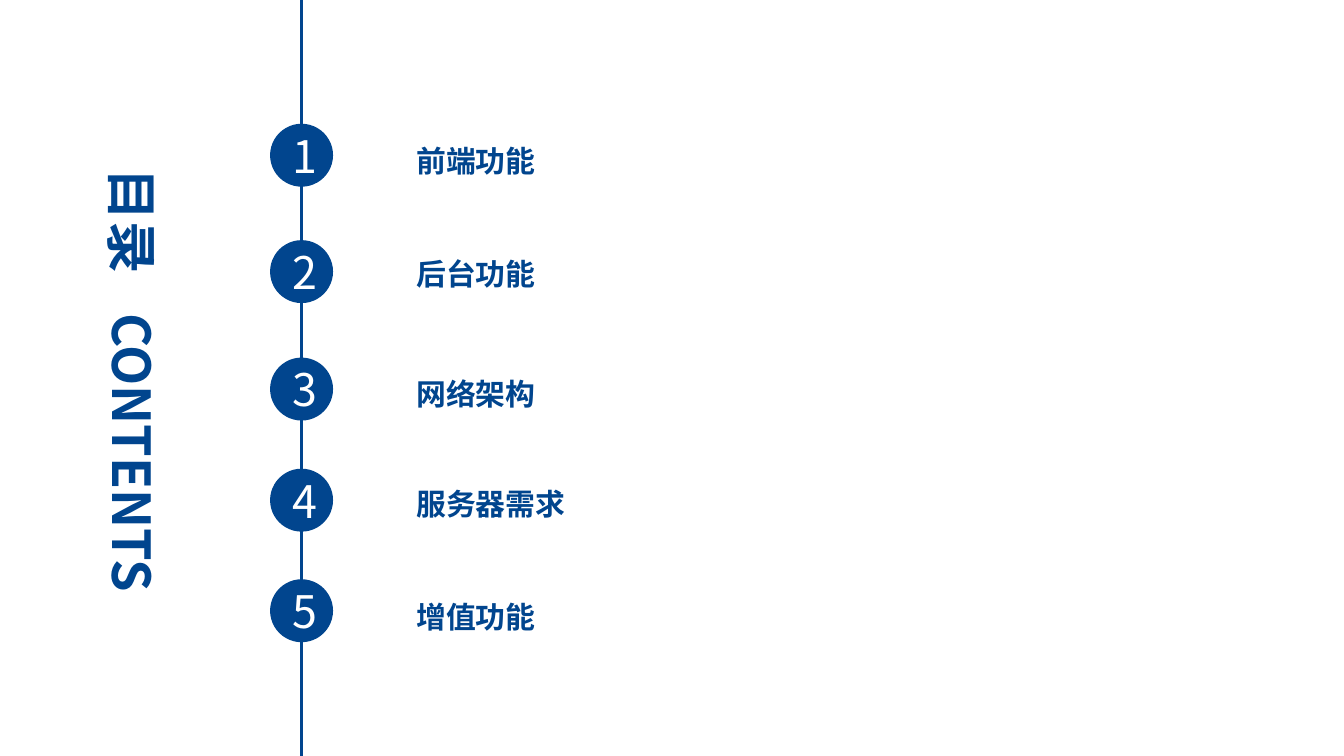
import pptx
import pptx.dml.color
import pptx.enum.shapes
import pptx.enum.text
import pptx.oxml.ns
import pptx.util
from lxml import etree

Cm = pptx.util.Cm
PP = pptx.enum.text
qn = pptx.oxml.ns.qn

FONT = "Noto Sans CJK SC"
BLUE = "01458E"
WHITE = "FFFFFF"


def color(hex_code):
    return pptx.dml.color.RGBColor.from_string(hex_code)


def write(tf, text, size=16, fill=BLUE, bold=False, align=None, spacing=None):
    p = tf.paragraphs[0]
    p.alignment = align
    p.line_spacing = spacing
    r = p.add_run()
    r.text = text
    r.font.size = pptx.util.Pt(size)
    r.font.bold = bold
    r.font.name = FONT
    r.font.color.rgb = color(fill)
    # East Asian text takes its own typeface element
    etree.SubElement(r.font._element, qn("a:ea"), typeface=FONT)


class ContentsSlide:
    """Holds the slide and its style."""

    def __init__(self, prs):
        self.s = prs.slides.add_slide(prs.slide_layouts[6])

    def text_box(self, text, x, y, w, h, rotation=0, wrap=True, **fmt):
        sp = self.s.shapes.add_textbox(Cm(x), Cm(y), Cm(w), Cm(h))
        sp.rotation = rotation
        tf = sp.text_frame
        tf.word_wrap = wrap
        tf.auto_size = PP.MSO_AUTO_SIZE.SHAPE_TO_FIT_TEXT
        write(tf, text, bold=True, **fmt)

    def vertical_title(self, text, cx, cy, w, h=1.45):
        self.text_box(text, cx - w / 2, cy - h / 2, w, h,
                      rotation=90, wrap=False, size=28)

    def vertical_line(self, x, y1, y2):
        kind = pptx.enum.shapes.MSO_CONNECTOR.STRAIGHT
        sp = self.s.shapes.add_connector(kind, Cm(x), Cm(y1), Cm(x), Cm(y2))
        sp.line.color.rgb = color(BLUE)
        sp.line.width = pptx.util.Pt(1.25)
        etree.SubElement(sp._element.spPr, qn("a:effectLst"))

    def number_circle(self, number, cx, y, d=1.19):
        kind = pptx.enum.shapes.MSO_SHAPE.OVAL
        sp = self.s.shapes.add_shape(kind, Cm(cx - d / 2), Cm(y), Cm(d), Cm(d))
        sp.shadow.inherit = False
        sp.fill.solid()
        sp.fill.fore_color.rgb = color(BLUE)
        sp.line.fill.background()
        sp.text_frame.vertical_anchor = PP.MSO_ANCHOR.MIDDLE
        write(sp.text_frame, str(number), size=24, fill=WHITE,
              align=PP.PP_ALIGN.CENTER)


def main():
    prs = pptx.Presentation()
    prs.slide_width, prs.slide_height = Cm(25.4), Cm(14.29)
    slide = ContentsSlide(prs)

    # Rotated heading
    slide.vertical_title("目录", 2.52, 4.2, w=2.51)
    slide.vertical_title("CONTENTS", 2.52, 8.72, w=6.1)

    # Timeline
    axis = 5.7
    slide.vertical_line(axis, 0, 14.29)

    # Entries: label, top of circle, top and height of label
    entries = [
        ("前端功能", 2.34, 2.24, 1.27),
        ("后台功能", 4.54, 4.37, 1.27),
        ("网络架构", 6.76, 6.63, 1.27),
        ("服务器需求", 8.86, 8.71, 1.17),
        ("增值功能", 10.95, 10.85, 1.17),
    ]
    for number, (label, circle_y, label_y, h) in enumerate(entries, 1):
        slide.number_circle(number, axis, circle_y)
        slide.text_box(label, 7.62, label_y, 9.88, h, spacing=1.5)

    prs.save("out.pptx")


if __name__ == "__main__":
    main()
